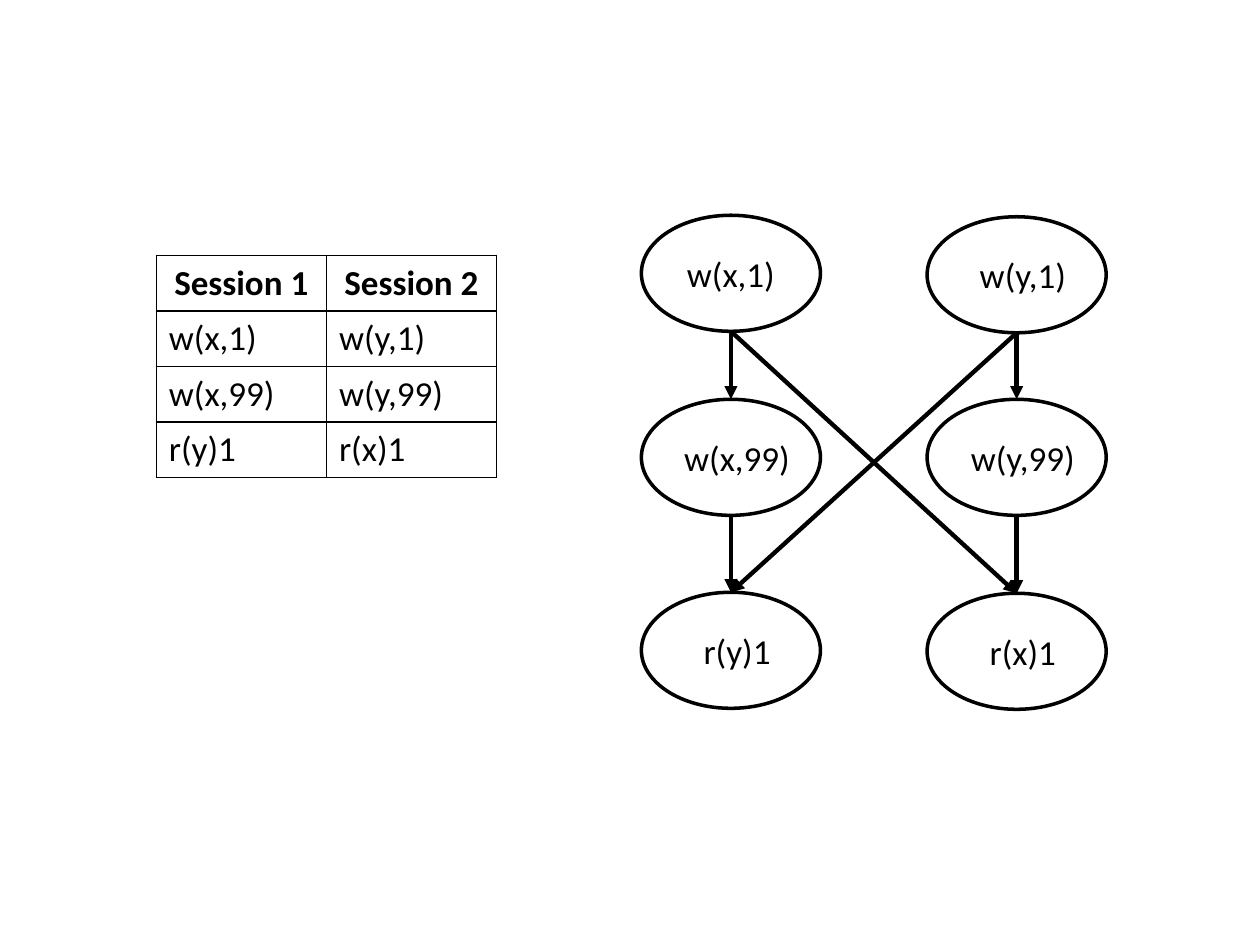
import pptx
import pptx.util
import pptx.dml.color
import pptx.enum.shapes
import pptx.enum.text
import pptx.oxml
import pptx.oxml.ns
import lxml.etree

Cm, Pt = pptx.util.Cm, pptx.util.Pt
BLACK = pptx.dml.color.RGBColor(0, 0, 0)
WHITE = pptx.dml.color.RGBColor(255, 255, 255)
ALIGN = pptx.enum.text.PP_ALIGN
qn = pptx.oxml.ns.qn


def write(tf, text, align, bold=False):
    """Put one line of black 20 pt text in a text frame."""
    tf.text = text
    p = tf.paragraphs[0]
    p.alignment = align
    font = p.runs[0].font
    font.name, font.size, font.bold = "Calibri", Pt(20), bold
    font.color.rgb = BLACK


def add_arrow(s, start, end):
    """Draw a black arrow between two points given in cm."""
    line = s.shapes.add_connector(
        pptx.enum.shapes.MSO_CONNECTOR.STRAIGHT,
        *[Cm(v) for v in (*start, *end)])
    line.line.color.rgb = BLACK
    line.line.width = Pt(2.5)
    tail = lxml.etree.SubElement(line.line._get_or_add_ln(), qn("a:tailEnd"))
    tail.set("type", "triangle")
    lxml.etree.SubElement(line._element.spPr, qn("a:effectLst"))


prs = pptx.Presentation()
prs.slide_width, prs.slide_height = Cm(25.4), Cm(19.05)
s = prs.slides.add_slide(prs.slide_layouts[6])

# Operations of the two sessions
rows = [("Session 1", "Session 2"), ("w(x,1)", "w(y,1)"),
        ("w(x,99)", "w(y,99)"), ("r(y)1", "r(x)1")]
table = s.shapes.add_table(4, 2, Cm(3.15), Cm(5.15), Cm(6.86), Cm(4.16)).table
table.first_row = table.horz_banding = False
for i, row in enumerate(rows):
    for j, text in enumerate(row):
        cell = table.cell(i, j)
        write(cell.text_frame, text, ALIGN.LEFT if i else ALIGN.CENTER, i == 0)
        tcPr = cell._tc.get_or_add_tcPr()
        for side in "LRTB":
            tcPr.append(pptx.oxml.parse_xml(
                f'<a:ln{side} {pptx.oxml.ns.nsdecls("a")} w="12700"><a:solidFill>'
                f'<a:srgbClr val="{BLACK}"/></a:solidFill></a:ln{side}>'))
        cell.fill.background()

# Graph: one column of nodes per session
NODE_W, NODE_H = 3.61, 2.34
lefts = [12.93, 18.69]
tops = [(4.34, 4.37), (8.05, 8.05), (11.94, 11.96)]
for row, row_tops in zip(rows[1:], tops):
    for text, left, top in zip(row, lefts, row_tops):
        sp = s.shapes.add_shape(pptx.enum.shapes.MSO_SHAPE.OVAL,
                                Cm(left), Cm(top), Cm(NODE_W), Cm(NODE_H))
        sp.shadow.inherit = False
        sp.fill.solid()
        sp.fill.fore_color.rgb = WHITE
        sp.line.color.rgb = BLACK
        sp.line.width = Pt(2)
        tf = sp.text_frame
        tf.vertical_anchor = pptx.enum.text.MSO_ANCHOR.MIDDLE
        if text != "w(x,1)":
            tf.margin_right = tf.margin_top = tf.margin_bottom = 0
        write(tf, text, ALIGN.CENTER)

# Arrows as (row, column) of the start node and of the end node
arrows = [((0, 0), (1, 0)), ((0, 1), (1, 1)), ((0, 0), (2, 1)),
          ((0, 1), (2, 0)), ((1, 0), (2, 0)), ((1, 1), (2, 1))]
for (i, j), (k, m) in arrows:
    add_arrow(s, (lefts[j] + NODE_W / 2, tops[i][j] + NODE_H),
              (lefts[m] + NODE_W / 2, tops[k][m]))

prs.save("out.pptx")
